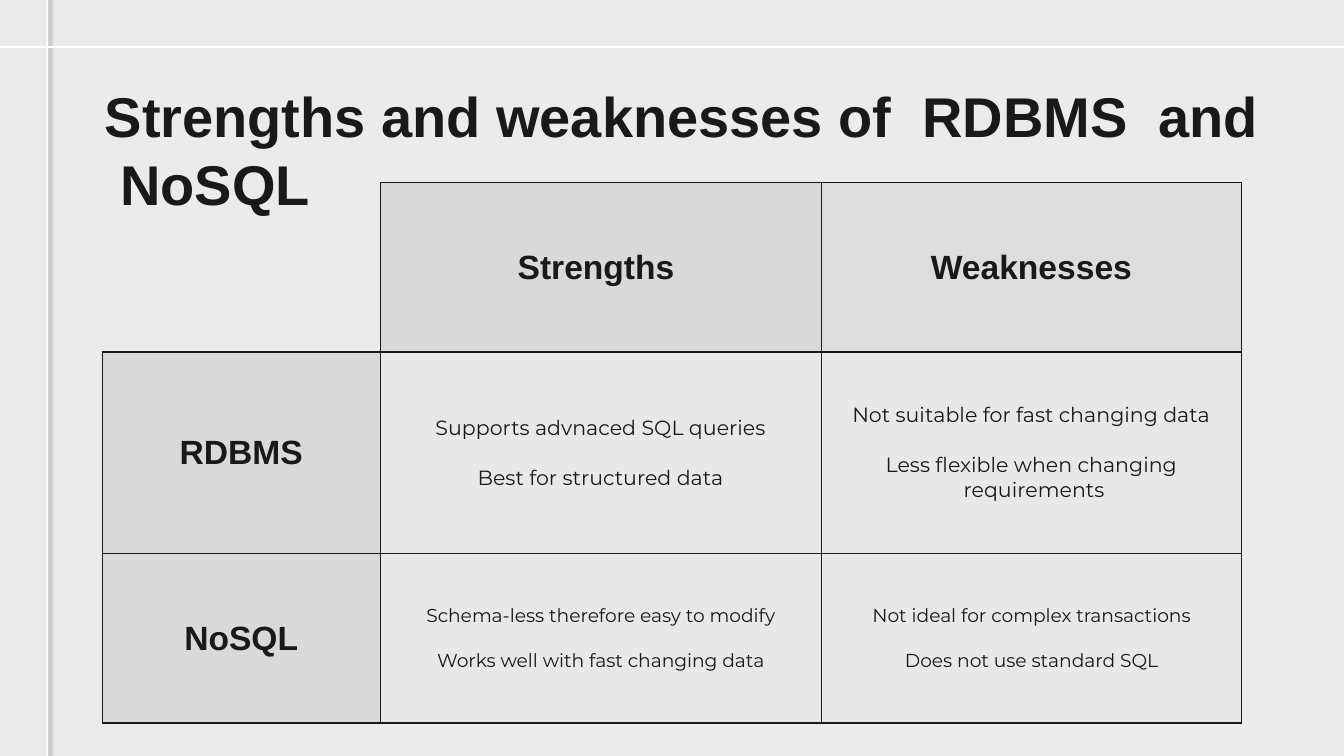
from dataclasses import dataclass

from lxml.etree import SubElement
from pptx import Presentation
from pptx.dml.color import RGBColor
from pptx.enum.shapes import MSO_CONNECTOR
from pptx.enum.text import MSO_ANCHOR, MSO_AUTO_SIZE, PP_ALIGN
from pptx.oxml.ns import qn
from pptx.util import Inches, Pt


@dataclass(frozen=True)
class Theme:
    background: str = "EBEBEB"
    ink: str = "191919"
    rule: str = "FFFFFF"
    shadow: str = "434343"
    header: str = "D9D9D9"
    header_light: str = "DDDDDD"
    body: str = "E8E8E8"
    heading_font: str = "Arial"
    body_font: str = "Montserrat"
    title_size: int = 30
    heading_size: int = 18
    line_width: float = 0.75


THEME = Theme()
WIDTH = 10
HEIGHT = WIDTH * 9 / 16
TABLE_LEFT, TABLE_TOP = 0.76, 1.36
COLUMNS = (2.07, 3.28, 3.13)
ROWS = (1.26, 1.5, 1.26)
BODY_SIZES = {1: 11, 2: 10}  # type size by table row
LINE_GAP = 1.22  # a blank line, as a share of the type size

TITLE = "Strengths and weaknesses of  RDBMS  and  NoSQL"
# Each cell is a list of points; each point is a list of lines.
CONTENT = [
    [[], [["Strengths "]], [["Weaknesses"]]],
    [
        [["RDBMS"]],
        [["Supports advnaced SQL queries"], ["Best for structured data"]],
        [["Not suitable for fast changing data"],
         ["Less flexible when changing", " requirements"]],
    ],
    [
        [["NoSQL"]],
        [["Schema-less therefore easy to modify"],
         ["Works well with fast changing data"]],
        [["Not ideal for complex transactions"],
         ["Does not use standard SQL"]],
    ],
]


def style_font(font, name, size, bold):
    values = {"name": name, "size": Pt(size), "bold": bold}
    for key, value in values.items():
        setattr(font, key, value)
    font.color.rgb = RGBColor.from_string(THEME.ink)


def add_rule(page, start, end):
    """White guide line with a soft shadow."""
    rule = page.shapes.add_connector(
        MSO_CONNECTOR.STRAIGHT, *(Inches(v) for v in start + end))
    rule.line.color.rgb = RGBColor.from_string(THEME.rule)
    rule.line.width = Pt(THEME.line_width)
    effects = SubElement(rule._element.spPr, qn("a:effectLst"))
    shadow = SubElement(effects, qn("a:outerShdw"), {
        "blurRad": str(Pt(2.2)), "dist": str(Pt(1.5)),
        "dir": str(51 * 60000), "algn": "bl", "rotWithShape": "0"})
    color = SubElement(shadow, qn("a:srgbClr"), val=THEME.shadow)
    SubElement(color, qn("a:alpha"), val="50000")


def set_title(page):
    title = page.shapes.title
    place = {"left": 0.68, "top": 0.51, "width": 8.83, "height": 0.63}
    for key, value in place.items():
        setattr(title, key, Inches(value))
    frame = title.text_frame
    frame.text = TITLE
    frame.word_wrap = True
    frame.auto_size = MSO_AUTO_SIZE.NONE
    frame.vertical_anchor = MSO_ANCHOR.TOP
    for side in ("left", "top", "right", "bottom"):
        setattr(frame, f"margin_{side}", Inches(0.1))
    para = frame.paragraphs[0]
    para.alignment = PP_ALIGN.LEFT
    style_font(para.runs[0].font, THEME.heading_font, THEME.title_size, True)


def set_borders(cell, hidden=""):
    """Draw all four sides except the hidden ones."""
    properties = cell._tc.get_or_add_tcPr()
    for side in "LRTB":
        line = SubElement(properties, qn(f"a:ln{side}"),
                          w=str(Pt(THEME.line_width)))
        if side in hidden:
            SubElement(line, qn("a:noFill"))
        else:
            fill = SubElement(line, qn("a:solidFill"))
            SubElement(fill, qn("a:srgbClr"), val=THEME.ink)


def fill_cell(cell, points, color, font, size, bold, inset):
    cell.fill.solid()
    cell.fill.fore_color.rgb = RGBColor.from_string(color)
    cell.vertical_anchor = MSO_ANCHOR.MIDDLE
    margins = {"left": inset, "right": inset, "top": 0, "bottom": 0}
    for side, value in margins.items():
        setattr(cell, f"margin_{side}", Inches(value))
    frame = cell.text_frame
    for number, lines in enumerate(points):
        for index, text in enumerate(lines):
            first = number == index == 0
            para = frame.paragraphs[0] if first else frame.add_paragraph()
            para.alignment = PP_ALIGN.CENTER
            # Only a new point is set apart from the line above
            starts_point = number > 0 and index == 0
            para.space_before = Pt(size * LINE_GAP if starts_point else 0)
            span = para.add_run()
            span.text = text
            style_font(span.font, font, size, bold)


def add_comparison(page):
    table = page.shapes.add_table(
        len(ROWS), len(COLUMNS), Inches(TABLE_LEFT), Inches(TABLE_TOP),
        Inches(sum(COLUMNS)), Inches(sum(ROWS))).table
    table.first_row = table.horz_banding = False
    for column, width in zip(table.columns, COLUMNS):
        column.width = Inches(width)
    for row, height in zip(table.rows, ROWS):
        row.height = Inches(height)

    for r, row in enumerate(CONTENT):
        for c, points in enumerate(row):
            cell = table.cell(r, c)
            if not points:  # open corner
                set_borders(cell, hidden="LT")
                cell.fill.background()
                continue
            set_borders(cell)
            if r == 0 or c == 0:
                color = THEME.header_light if c == 2 else THEME.header
                fill_cell(cell, points, color, THEME.heading_font,
                          THEME.heading_size, True, 0.1)
            else:
                fill_cell(cell, points, THEME.body, THEME.body_font,
                          BODY_SIZES[r], False, 0)


def main():
    deck = Presentation()
    deck.slide_width, deck.slide_height = Inches(WIDTH), Inches(HEIGHT)
    page = deck.slides.add_slide(deck.slide_layouts[5])
    page.background.fill.solid()
    page.background.fill.fore_color.rgb = RGBColor.from_string(THEME.background)

    # Guide lines
    add_rule(page, (0.35, -0.16), (0.35, HEIGHT))
    add_rule(page, (-0.06, 0.35), (WIDTH + 0.06, 0.35))

    # Title and comparison table
    set_title(page)
    add_comparison(page)
    deck.save("out.pptx")


if __name__ == "__main__":
    main()
